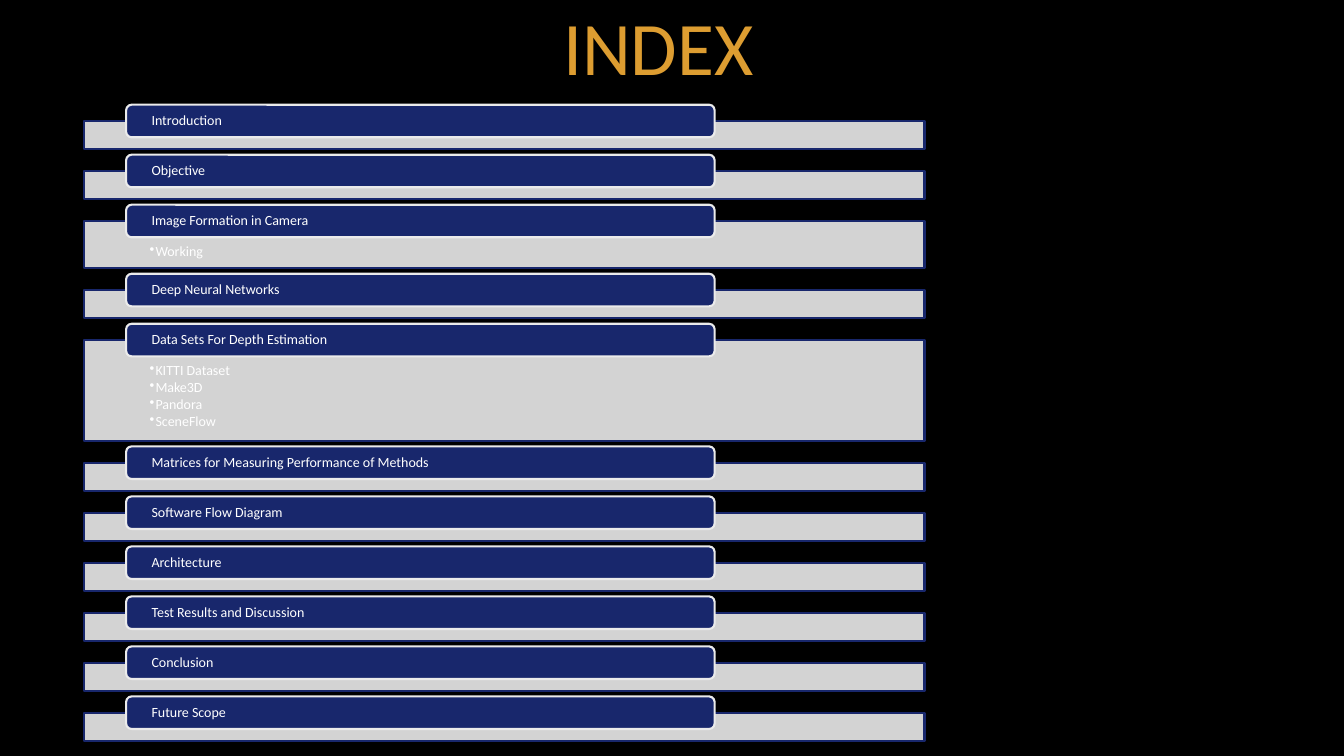
from lxml import etree
from pptx import Presentation
from pptx.dml.color import RGBColor
from pptx.enum.shapes import MSO_SHAPE
from pptx.enum.text import MSO_ANCHOR, PP_ALIGN
from pptx.oxml.ns import qn
from pptx.util import Cm, Pt

RECTANGLE, ROUNDED = MSO_SHAPE.RECTANGLE, MSO_SHAPE.ROUNDED_RECTANGLE
TOP, MIDDLE = MSO_ANCHOR.TOP, MSO_ANCHOR.MIDDLE
LEFT, CENTER = PP_ALIGN.LEFT, PP_ALIGN.CENTER

TITLE = "INDEX"
SECTIONS = [
    ("Introduction", []),
    ("Objective", []),
    ("Image Formation in Camera", ["Working"]),
    ("Deep Neural Networks", []),
    ("Data Sets For Depth Estimation",
     ["KITTI Dataset", "Make3D", "Pandora", "SceneFlow"]),
    ("Matrices for Measuring Performance of Methods", []),
    ("Software Flow Diagram", []),
    ("Architecture", []),
    ("Test Results and Discussion", []),
    ("Conclusion", []),
    ("Future Scope", []),
]
COLORS = {"background": "000000", "title": "DD9D31", "navy": "18276C",
          "pale": "EBEBEB", "text": "FFFFFF"}
FONT = "Calibri"

# Lengths in centimetres
BAND_LEFT, BAND_WIDTH, FIRST_BAND_TOP = 2.12, 21.18, 3.05
BAND_HEIGHTS = {0: 0.71, 1: 1.19, 4: 2.54}  # by number of sub-items
BAND_GAP = 0.55
LABEL_LEFT, LABEL_WIDTH, LABEL_HEIGHT, LABEL_RISE = 3.18, 14.83, 0.82, 0.41


def color(name):
    return RGBColor.from_string(COLORS[name])


def add_box(slide, kind, place, fill, line):
    box = slide.shapes.add_shape(kind, *(Cm(length) for length in place))
    box.shadow.inherit = False
    box.fill.solid()
    box.fill.fore_color.rgb = color(fill)
    box.line.color.rgb = color(line)
    box.line.width = Pt(1.5)
    return box


def make_translucent(box, percent):
    rgb = box._element.spPr.find(qn("a:solidFill")).find(qn("a:srgbClr"))
    etree.SubElement(rgb, qn("a:alpha")).set("val", str(percent * 1000))


def add_bullet(para):
    properties = para._p.get_or_add_pPr()
    properties.set("marL", str(Cm(0.15)))
    properties.set("indent", str(-Cm(0.15)))
    etree.SubElement(properties, qn("a:buChar")).set("char", "•")


def write_lines(box, lines, anchor, margins, space_after, bulleted=False):
    frame = box.text_frame
    frame.word_wrap = True
    frame.vertical_anchor = anchor
    (frame.margin_left, frame.margin_top,
     frame.margin_right, frame.margin_bottom) = (Cm(size) for size in margins)
    for index, line in enumerate(lines):
        para = frame.add_paragraph() if index else frame.paragraphs[0]
        para.text = line
        if bulleted:
            para.level = 1
            add_bullet(para)
        para.alignment = LEFT
        para.line_spacing = 0.9
        para.space_after = Pt(space_after)
        para.font.name = FONT
        para.font.size = Pt(10)
        para.font.color.rgb = color("text")


def add_title(slide):
    title = slide.shapes.title
    title.left, title.top = Cm(1.9), Cm(-0.89)
    title.width, title.height = Cm(29.39), Cm(4.04)
    title.text_frame.text = TITLE
    title.text_frame.vertical_anchor = MIDDLE
    para = title.text_frame.paragraphs[0]
    para.alignment = CENTER
    para.font.name = FONT
    para.font.size = Pt(54)
    para.font.color.rgb = color("title")


def add_sections(slide):
    top = FIRST_BAND_TOP
    for heading, items in SECTIONS:
        height = BAND_HEIGHTS[len(items)]
        band = add_box(slide, RECTANGLE, (BAND_LEFT, top, BAND_WIDTH, height),
                       "pale", "navy")
        make_translucent(band, 90)
        if items:
            write_lines(band, items, TOP, (1.65, 0.58, 1.65, 0.2), 1.5, bulleted=True)
        label = add_box(slide, ROUNDED,
                        (LABEL_LEFT, top - LABEL_RISE, LABEL_WIDTH, LABEL_HEIGHT),
                        "navy", "pale")
        write_lines(label, [heading], MIDDLE, (0.6, 0, 0.6, 0), 3.5)
        top += height + BAND_GAP


def main():
    deck = Presentation()
    deck.slide_width, deck.slide_height = Cm(33.87), Cm(19.05)
    slide = deck.slides.add_slide(deck.slide_layouts.get_by_name("Title Only"))
    slide.background.fill.solid()
    slide.background.fill.fore_color.rgb = color("background")
    add_title(slide)
    add_sections(slide)
    deck.save("out.pptx")


if __name__ == "__main__":
    main()
